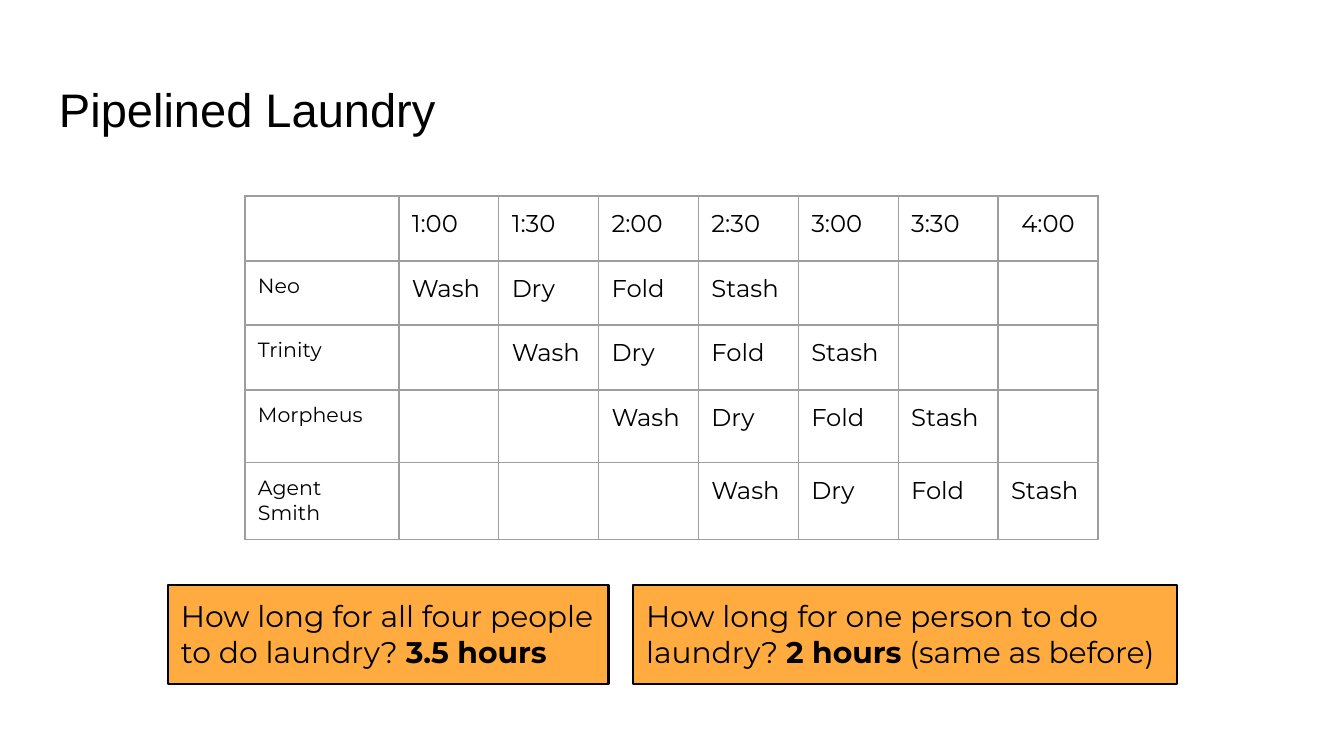
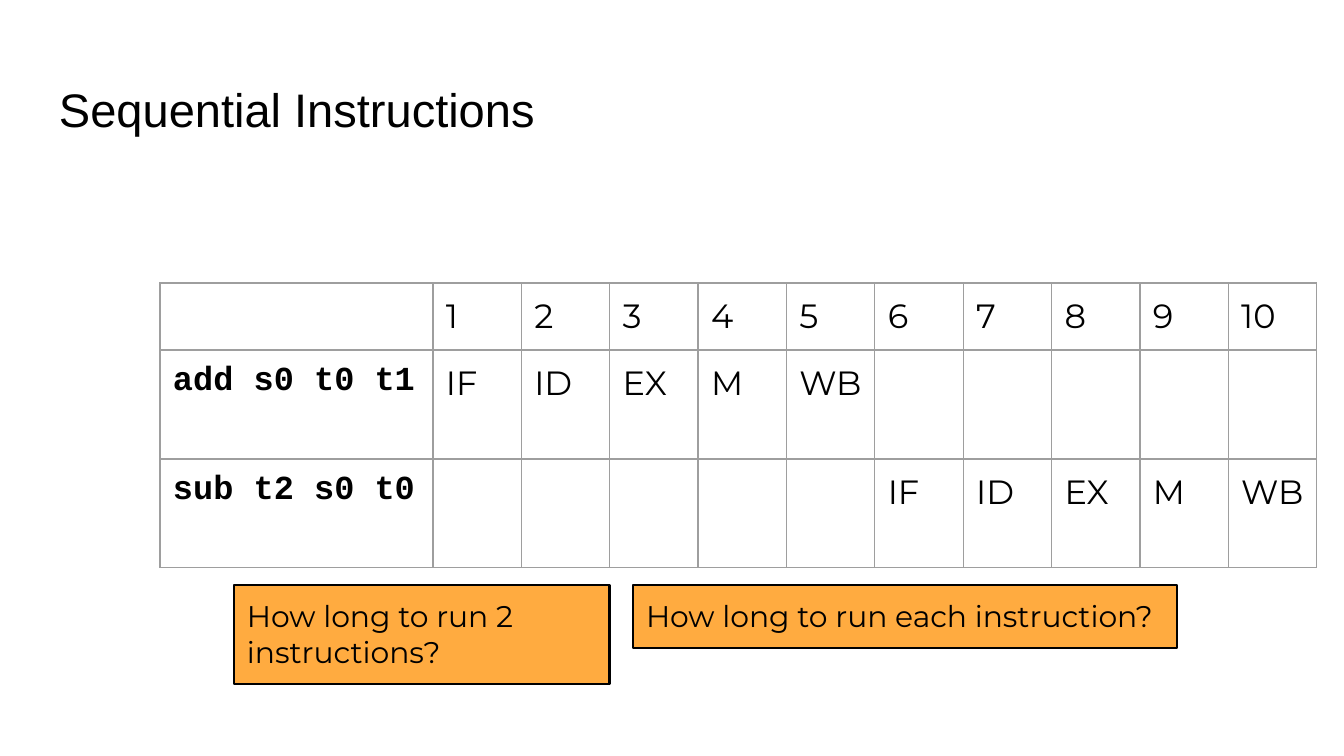
import dataclasses

import lxml.etree
import pptx
import pptx.dml.color
import pptx.enum.shapes
import pptx.enum.text
import pptx.oxml.ns
import pptx.util


@dataclasses.dataclass(frozen=True)
class Theme:
    ink: str = "000000"
    grid: str = "9E9E9E"
    question: str = "FFAB40"
    title_font: str = "Arial"
    body_font: str = "Montserrat"
    code_font: str = "Courier New"
    title_size: float = 25.2
    question_size: float = 16
    grid_line: float = 0.75
    question_line: float = 1.5


theme = Theme()
rgb = pptx.dml.color.RGBColor.from_string
qn = pptx.oxml.ns.qn
WIDTH, HEIGHT, INSET = 1344, 756, 13


def px(length):
    return pptx.util.Emu(round(length * 9144000 / WIDTH))


def add_run(paragraph, text, size, font=theme.body_font, bold=False):
    run = paragraph.add_run()
    run.text = text
    run.font.size = pptx.util.Pt(size)
    run.font.name = font
    run.font.bold = bold
    run.font.color.rgb = rgb(theme.ink)


# Content: each row of stages starts "stagger" columns after the row above
lessons = [
    {
        "title": "Pipelined Laundry",
        "header": ["1:00", "1:30", "2:00", "2:30", "3:00", "3:30", "4:00"],
        "workers": ["Neo", "Trinity", "Morpheus", "Agent Smith"],
        "stages": ["Wash", "Dry", "Fold", "Stash"],
        "stagger": 1,
        "origin": (245, 196),
        "worker_width": 154,
        "stages_width": 699,
        "row_heights": [65, 64, 65, 73, 77],
        "stage_size": 13,
        "worker_style": (11, theme.body_font, False),
        "centred_column": 7,
        "questions": [
            ((168, 585, 441, 99), [("How long for all four people to do laundry? ", False),
                                   ("3.5 hours", True)]),
            ((633, 585, 544, 99), [("How long for one person to do laundry? ", False),
                                   ("2 hours", True),
                                   (" (same as before)", False)]),
        ],
    },
    {
        "title": "Sequential Instructions",
        "header": [str(cycle) for cycle in range(1, 11)],
        "workers": ["add s0 t0 t1", "sub t2 s0 t0"],
        "stages": ["IF", "ID", "EX", "M", "WB"],
        "stagger": 5,
        "origin": (160, 283),
        "worker_width": 273,
        "stages_width": 884,
        "row_heights": [67, 109, 109],
        "stage_size": 18,
        "worker_style": (18, theme.code_font, True),
        "centred_column": None,
        "questions": [
            ((234, 585, 376, 99), [("How long to run 2 instructions?", False)]),
            ((633, 585, 544, 63), [("How long to run each instruction?", False)]),
        ],
    },
]

deck = pptx.Presentation()
deck.slide_width, deck.slide_height = px(WIDTH), px(HEIGHT)

for lesson in lessons:
    slide = deck.slides.add_slide(deck.slide_layouts[5])

    # Title
    title = slide.shapes.title
    title.left, title.top, title.width, title.height = map(px, (46, 66, 1253, 85))
    title_frame = title.text_frame
    title_frame.auto_size = pptx.enum.text.MSO_AUTO_SIZE.NONE
    title_frame.vertical_anchor = pptx.enum.text.MSO_ANCHOR.MIDDLE
    title_frame.margin_left = title_frame.margin_right = px(INSET)
    title_frame.paragraphs[0].alignment = pptx.enum.text.PP_ALIGN.LEFT
    add_run(title_frame.paragraphs[0], lesson["title"], theme.title_size, theme.title_font)

    # Schedule wording
    columns = len(lesson["header"])
    schedule = [[""] + lesson["header"]]
    for index, worker in enumerate(lesson["workers"]):
        before = [""] * (index * lesson["stagger"])
        after = [""] * (columns - len(before) - len(lesson["stages"]))
        schedule.append([worker] + before + lesson["stages"] + after)

    # Schedule table
    left, top = lesson["origin"]
    timetable = slide.shapes.add_table(
        len(schedule), columns + 1, px(left), px(top),
        px(lesson["worker_width"] + lesson["stages_width"]), px(sum(lesson["row_heights"])),
    ).table
    timetable.first_row = timetable.horz_banding = False
    for column, table_column in enumerate(timetable.columns):
        table_column.width = px(lesson["stages_width"] / columns if column
                                else lesson["worker_width"])
    for row, height in enumerate(lesson["row_heights"]):
        timetable.rows[row].height = px(height)
        for column, text in enumerate(schedule[row]):
            cell = timetable.cell(row, column)
            cell.margin_left = cell.margin_right = px(INSET)
            cell.margin_top = cell.margin_bottom = px(INSET)
            paragraph = cell.text_frame.paragraphs[0]
            if row == 0 and column == lesson["centred_column"]:
                cell.margin_left = cell.margin_right = px(4)
                paragraph.alignment = pptx.enum.text.PP_ALIGN.CENTER
            if not text:
                lxml.etree.SubElement(paragraph._p, qn("a:endParaRPr"),
                                      sz=str(lesson["stage_size"] * 100))
            elif column == 0:
                add_run(paragraph, text, *lesson["worker_style"])
            else:
                add_run(paragraph, text, lesson["stage_size"])

            # Cell borders
            properties = cell._tc.get_or_add_tcPr()
            for side in ("a:lnL", "a:lnR", "a:lnT", "a:lnB"):
                border = lxml.etree.SubElement(properties, qn(side),
                                               w=str(pptx.util.Pt(theme.grid_line)))
                paint = lxml.etree.SubElement(border, qn("a:solidFill"))
                lxml.etree.SubElement(paint, qn("a:srgbClr"), val=theme.grid)
            cell.fill.background()

    # Question boxes
    for place, wording in lesson["questions"]:
        question = slide.shapes.add_shape(pptx.enum.shapes.MSO_SHAPE.RECTANGLE, *map(px, place))
        question.shadow.inherit = False
        question.fill.solid()
        question.fill.fore_color.rgb = rgb(theme.question)
        question.line.color.rgb = rgb(theme.ink)
        question.line.width = pptx.util.Pt(theme.question_line)
        frame = question.text_frame
        frame.word_wrap = True
        frame.auto_size = pptx.enum.text.MSO_AUTO_SIZE.SHAPE_TO_FIT_TEXT
        frame.vertical_anchor = pptx.enum.text.MSO_ANCHOR.TOP
        frame.margin_left = frame.margin_right = px(INSET)
        frame.margin_top = frame.margin_bottom = px(INSET)
        frame.paragraphs[0].alignment = pptx.enum.text.PP_ALIGN.LEFT
        for text, bold in wording:
            add_run(frame.paragraphs[0], text, theme.question_size, bold=bold)

deck.save("out.pptx")
